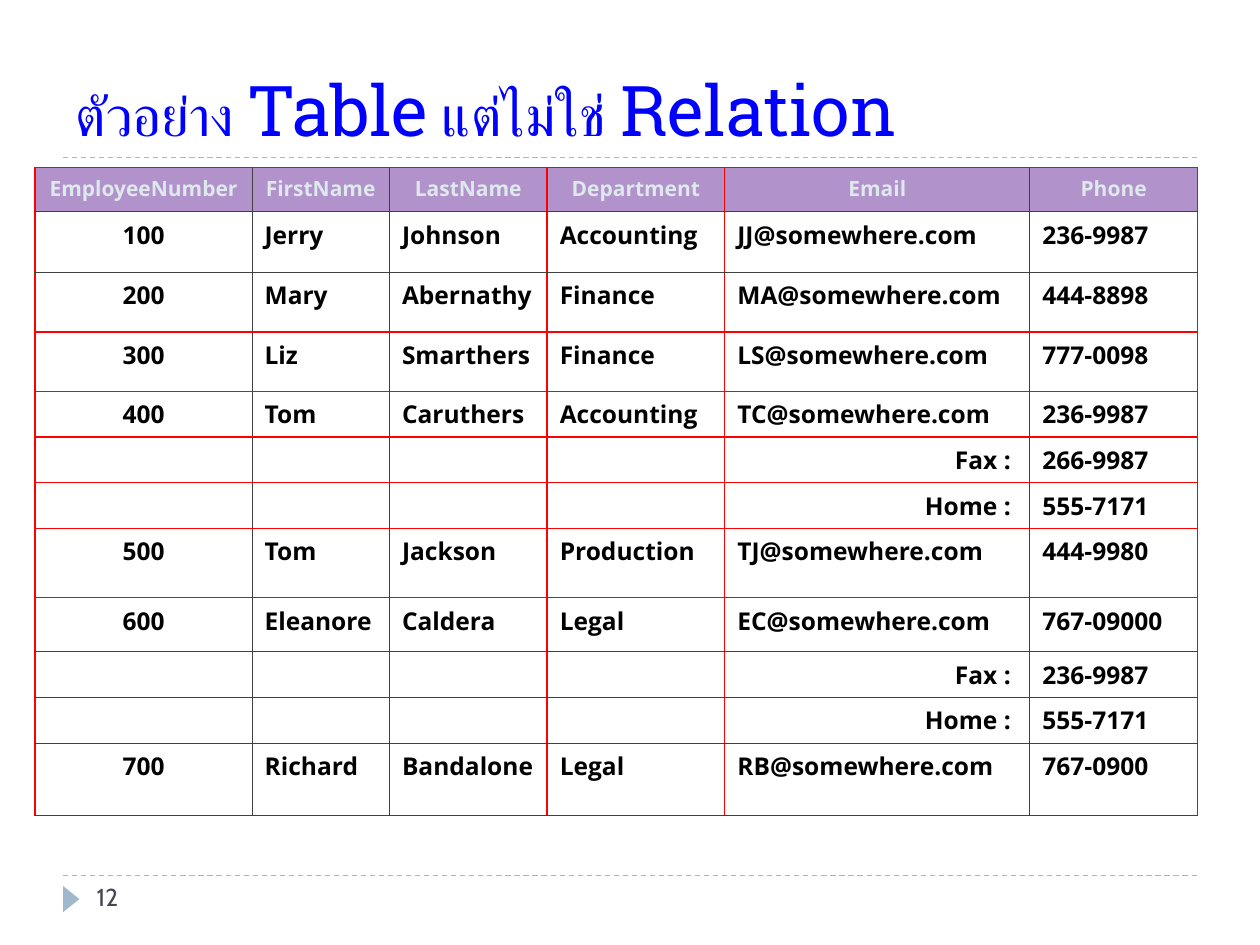
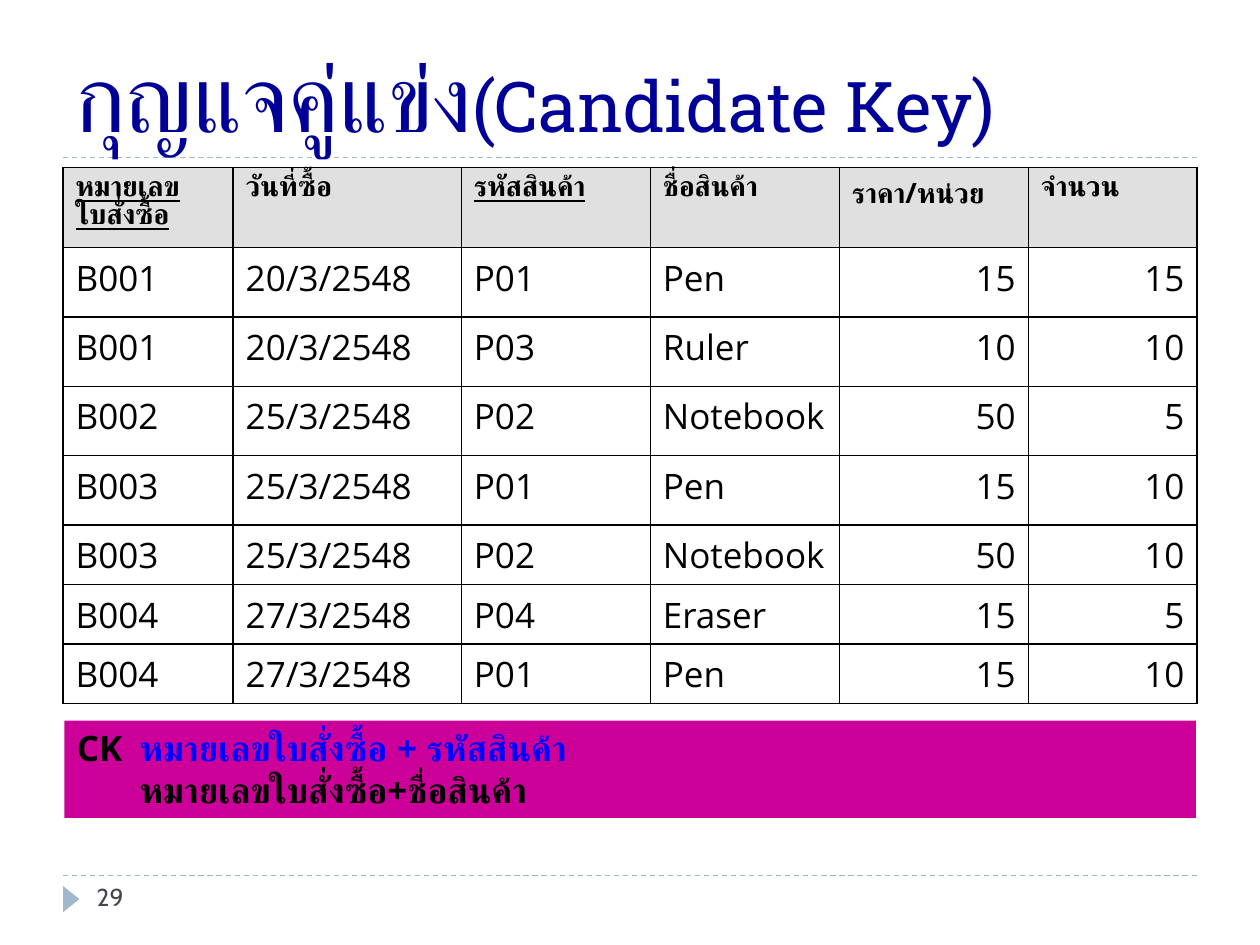
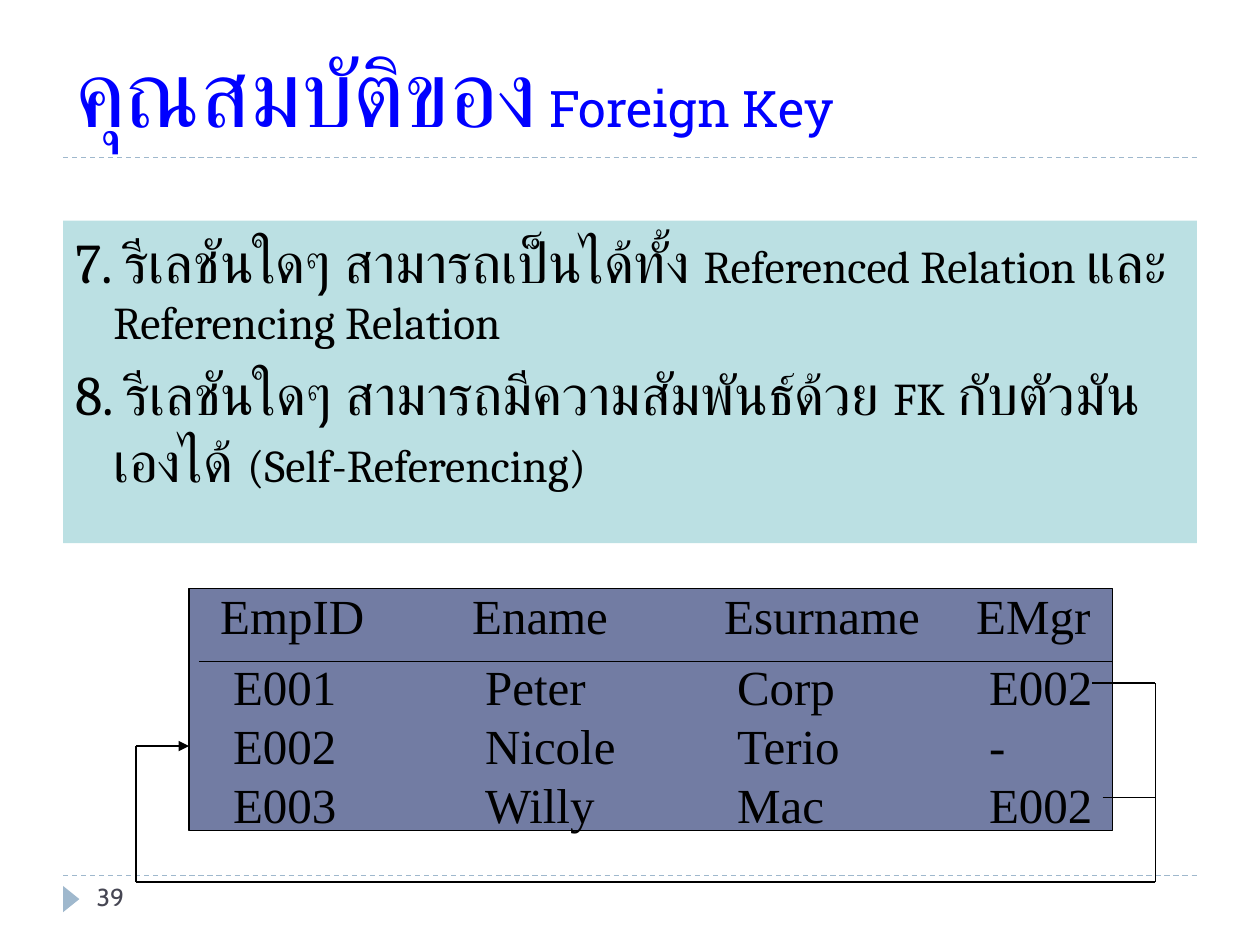
"""Builds three lecture slides on relations, candidate keys and foreign keys."""
from lxml import etree
from pptx import Presentation
from pptx.dml.color import RGBColor
from pptx.enum.dml import MSO_LINE
from pptx.enum.shapes import MSO_CONNECTOR, MSO_SHAPE
from pptx.enum.text import MSO_ANCHOR as ANCHOR, MSO_AUTO_SIZE as AUTO, PP_ALIGN as AL
from pptx.oxml.ns import qn
from pptx.util import Cm, Pt

BLUE, NAVY, BLACK, RED, GREY = "0000FF", "000099", "000000", "FF0000", "404040"
SLATE, INK, LILAC, SILVER = "9FB8CD", "464653", "B292CA", "E0E0E0"
PALE, MAGENTA, TEAL, INDIGO = "DDE9EC", "CC0099", "BBE0E3", "727CA3"
HEAD, BODY, SERIF, FOOT = "Roboto Slab", "Open Sans", "Times New Roman", "Cabin"
LEFT, RIGHT = 1.27, 24.13

SLIDES = [
    dict(number="12", color=BLUE, anchor=ANCHOR.BOTTOM,
         title=[("ตัวอย่าง ", 32), ("Table", 40), (" แต่ไม่ใช่ ", 32), ("Relation", 40)]),
    dict(number="29", color=NAVY, anchor=ANCHOR.BOTTOM,
         title=[("กุญแจคู่แข่ง", 54), ("(Candidate Key)", 40)]),
    dict(number="39", color=BLUE, anchor=ANCHOR.MIDDLE,
         title=[("คุณสมบัติของ", 54), (" Foreign Key", 28.8)]),
]

FAX, HOME = "Fax :  ", "Home :  "
EMPLOYEES = [
    ("EmployeeNumber", "FirstName", "LastName", "Department", "Email", "Phone"),
    ("100", "Jerry", "Johnson", "Accounting", "JJ@somewhere.com", "236-9987"),
    ("200", "Mary", "Abernathy", "Finance", "MA@somewhere.com", "444-8898"),
    ("300", "Liz", "Smarthers", "Finance", "LS@somewhere.com", "777-0098"),
    ("400", "Tom", "Caruthers", "Accounting", "TC@somewhere.com", "236-9987"),
    ("", "", "", "", "Fax : ", "266-9987"),
    ("", "", "", "", "Home : ", "555-7171"),
    ("500", "Tom", "Jackson", "Production", "TJ@somewhere.com", "444-9980"),
    ("600", "Eleanore", "Caldera", "Legal", "EC@somewhere.com", "767-09000"),
    ("", "", "", "", "Fax : ", "236-9987"),
    ("", "", "", "", "Home : ", "555-7171"),
    ("700", "Richard", "Bandalone", "Legal", "RB@somewhere.com", "767-0900"),
]
EMPLOYEE_COLS = [4.37, 2.77, 3.18, 3.58, 6.15, 3.38]
EMPLOYEE_ROWS = [0.89, 1.22, 1.2, 1.2, 0.92, 0.92, 0.92, 1.4, 1.09, 0.92, 0.92, 1.45]
GREY_BELOW, GREY_RIGHT = {0, 1, 8, 9, 10, 11}, {0, 1, 4}

ORDERS = [
    ("หมายเลข\nใบสั่งซื้อ", "วันที่ซื้อ", "รหัสสินค้า", "ชื่อสินค้า", "ราคา/หน่วย", "จำนวน"),
    ("B001", "20/3/2548", "P01", "Pen", "15", "15"),
    ("B001", "20/3/2548", "P03", "Ruler", "10", "10"),
    ("B002", "25/3/2548", "P02", "Notebook", "50", "5"),
    ("B003", "25/3/2548", "P01", "Pen", "15", "10"),
    ("B003", "25/3/2548", "P02", "Notebook", "50", "10"),
    ("B004", "27/3/2548", "P04", "Eraser", "15", "5"),
    ("B004", "27/3/2548", "P01", "Pen", "15", "10"),
]
ORDER_COLS = [3.43, 4.6, 3.81, 3.81, 3.81, 3.4]
ORDER_ROWS = [1.6] + [1.4] * 4 + [1.2] * 3
KEY_COLS = (0, 2)
CANDIDATES = [
    [("CK\t", BLACK), ("หมายเลขใบสั่งซื้อ + รหัสสินค้า", BLUE)],
    [("\tหมายเลขใบสั่งซื้อ+ชื่อสินค้า", BLACK)],
]

RULES = [
    [("7. รีเลชันใดๆ สามารถเป็นได้ทั้ง ", 32), ("Referenced Relation ", 26),
     ("และ ", 32), ("Referencing Relation", 26)],
    [("8. รีเลชันใดๆ สามารถมีความสัมพันธ์ด้วย ", 32), ("FK", 26),
     (" กับตัวมันเองได้ ", 32), ("(Self-Referencing)", 26)],
]
STAFF_HEAD = [("EmpID", "Ename", "Esurname", "EMgr")]
STAFF = [("E001", "Peter", "Corp", "E002"), ("E002", "Nicole", "Terio", "-"),
         ("E003", "Willy", "Mac", "E002")]
MANAGER_LINK = [(22.02, 13.77), (23.29, 13.77), (23.29, 17.78), (2.74, 17.78),
                (2.74, 15.04), (3.81, 15.04)]


def rgb(code):
    """Turn a hex string into a colour."""
    return RGBColor.from_string(code)


def place(sp, x, y, w, h):
    """Put a shape at a position given in centimetres."""
    sp.left, sp.top, sp.width, sp.height = Cm(x), Cm(y), Cm(w), Cm(h)


def style(font, name, color, size=None, bold=False):
    """Set the usual font properties."""
    font.name, font.bold, font.color.rgb = name, bold, rgb(color)
    if size:
        font.size = Pt(size)


def paragraphs(tf, count):
    """Return the given number of paragraphs of a text frame."""
    return [tf.paragraphs[0]] + [tf.add_paragraph() for _ in range(count - 1)]


def sized_runs(p, runs):
    """Add runs that differ in size."""
    for text, size in runs:
        r = p.add_run()
        r.text, r.font.size = text, Pt(size)


def hang(p, indent):
    """Give a paragraph a hanging indent without a bullet."""
    pPr = p._p.get_or_add_pPr()
    pPr.set("marL", str(Cm(indent)))
    pPr.set("indent", str(-Cm(indent)))
    pPr.insert_element_before(etree.Element(qn("a:buNone")),
                              "a:tabLst", "a:defRPr", "a:extLst")


def add_line(s, start, end, color=BLACK, dash=None, arrow=False):
    """Draw a thin straight line."""
    cn = s.shapes.add_connector(MSO_CONNECTOR.STRAIGHT, *map(Cm, start + end))
    cn.line.color.rgb, cn.line.width = rgb(color), Pt(0.75)
    if dash:
        cn.line.dash_style = dash
    if arrow:
        etree.SubElement(cn.line._get_or_add_ln(), qn("a:tailEnd"), type="triangle")
    etree.SubElement(cn._element.spPr, qn("a:effectLst"))
    return cn


def add_box(s, kind, x, y, w, h, fill, line=None):
    """Draw a flat filled shape."""
    sp = s.shapes.add_shape(kind, Cm(x), Cm(y), Cm(w), Cm(h))
    sp.shadow.inherit = False
    sp.fill.solid()
    sp.fill.fore_color.rgb = rgb(fill)
    if line:
        sp.line.color.rgb, sp.line.width = rgb(line), Pt(0.75)
    else:
        sp.line.fill.background()
    return sp


def add_tabbed(s, x, y, w, h, rows, step=5.08):
    """Write rows of words at equal tab stops."""
    tf = s.shapes.add_textbox(Cm(x), Cm(y), Cm(w), Cm(h)).text_frame
    tf.word_wrap = False
    for p, words in zip(paragraphs(tf, len(rows)), rows):
        p.text = "\t".join(words)
        style(p.font, SERIF, BLACK, 28)
        tabs = etree.Element(qn("a:tabLst"))
        for i in range(1, len(words)):
            etree.SubElement(tabs, qn("a:tab"), pos=str(Cm(step * i)), algn="l")
        p._p.get_or_add_pPr().insert_element_before(tabs, "a:defRPr", "a:extLst")


def set_border(cell, side, color, width):
    """Draw one side of a table cell."""
    ln = etree.SubElement(cell._tc.get_or_add_tcPr(), qn("a:ln" + side), w=str(Pt(width)))
    etree.SubElement(etree.SubElement(ln, qn("a:solidFill")), qn("a:srgbClr"), val=color)


def add_grid(s, x, y, cols, rows, data, head_fill, border, format_cell):
    """Add a table; border(r, c) and format_cell(r, c, text) give its look."""
    frame = s.shapes.add_table(len(rows), len(cols), Cm(x), Cm(y), Cm(sum(cols)), Cm(sum(rows)))
    table = frame.table
    table.first_row = table.horz_banding = False
    for col, w in zip(table.columns, cols):
        col.width = Cm(w)
    for r, (row, h) in enumerate(zip(table.rows, rows)):
        row.height = Cm(h)
        for c, cell in enumerate(row.cells):
            cell.text = data[r][c]
            for side, at in dict(L=(r, c - 1, 0), R=(r, c, 0), T=(r - 1, c, 1), B=(r, c, 1)).items():
                set_border(cell, side, *border(*at))
            if r == 0:
                cell.fill.solid()
                cell.fill.fore_color.rgb = rgb(head_fill)
            else:
                cell.fill.background()
            align, font = format_cell(r, c, data[r][c])
            for p in cell.text_frame.paragraphs:
                p.alignment = align
                style(p.font, BODY, *font)
                if head_fill == SILVER and r == 0 and c in KEY_COLS:
                    p.font.underline = True


def employee_border(r, c, below):
    """Colour and width of the line below or right of an employee cell."""
    return (GREY, 0.5) if (r in GREY_BELOW if below else c in GREY_RIGHT) else (RED, 1)


def employee_cell(r, c, text):
    """Alignment and font of an employee cell."""
    align = AL.CENTER if r == 0 or c == 0 else AL.RIGHT if text.endswith(" ") else AL.LEFT
    return align, (PALE, 12, True) if r == 0 else (BLACK, 14, True)


def order_cell(r, c, text):
    """Alignment and font of an order cell."""
    return AL.RIGHT if r and c > 3 else AL.LEFT, (BLACK, 20 if r else 16, r == 0)


def add_master_decor(prs, s):
    """Draw the shared rules and marker and move them to the master."""
    decor = [add_line(s, (LEFT, y), (RIGHT, y), SLATE, MSO_LINE.DASH) for y in (17.65, 3.18)]
    marker = add_box(s, MSO_SHAPE.ISOSCELES_TRIANGLE, 1.17, 17.96, 0.53, 0.33, SLATE)
    marker.rotation = 90
    for i, sp in enumerate(decor + [marker]):
        sp._element.xpath(".//p:cNvPr")[0].set("id", str(100 + i))
        prs.slide_master.shapes._spTree.append(sp._element)


def add_slide(prs, layout, number, title, color, anchor):
    """Add a slide with its title and number."""
    s = prs.slides.add_slide(prs.slide_layouts[layout])
    place(s.shapes.title, LEFT, 0.43, 22.86, 2.74)
    tf = s.shapes.title.text_frame
    tf.auto_size, tf.vertical_anchor = AUTO.NONE, anchor
    p = tf.paragraphs[0]
    p.alignment = AL.LEFT
    style(p.font, HEAD, color)
    sized_runs(p, title)
    p = s.shapes.add_textbox(Cm(1.7), Cm(17.65), Cm(5.51), Cm(1.02)).text_frame.paragraphs[0]
    p.text = number
    style(p.font, FOOT, INK, 14)
    return s


prs = Presentation()
prs.slide_width, prs.slide_height = Cm(25.4), Cm(19.05)
employees, orders, foreign = [
    add_slide(prs, layout, **info) for layout, info in zip((5, 5, 1), SLIDES)]
add_master_decor(prs, employees)

add_grid(employees, 0.71, 3.38, EMPLOYEE_COLS, EMPLOYEE_ROWS, EMPLOYEES, LILAC,
         employee_border, employee_cell)

add_grid(orders, LEFT, 3.38, ORDER_COLS, ORDER_ROWS, ORDERS, SILVER,
         lambda r, c, below: (BLACK, 1), order_cell)
tf = add_box(orders, MSO_SHAPE.RECTANGLE, 1.3, 14.53, 22.81, 1.96, MAGENTA).text_frame
tf.word_wrap, tf.vertical_anchor = True, ANCHOR.TOP
for p, runs in zip(paragraphs(tf, len(CANDIDATES)), CANDIDATES):
    p.alignment = AL.LEFT
    for text, color in runs:
        r = p.add_run()
        r.text = text
        style(r.font, BODY, color, 20, True)

body = foreign.placeholders[1]
place(body, LEFT, 4.45, 22.86, 6.5)
body.fill.solid()
body.fill.fore_color.rgb = rgb(TEAL)
body.text_frame.auto_size = AUTO.NONE
for p, runs in zip(paragraphs(body.text_frame, len(RULES)), RULES):
    hang(p, 0.76)
    p.space_before = Pt(6)
    style(p.font, "Cambria", BLACK)
    sized_runs(p, runs)
add_box(foreign, MSO_SHAPE.RECTANGLE, 3.81, 11.86, 18.62, 4.88, INDIGO, BLACK)
add_tabbed(foreign, 4.19, 11.68, 18.06, 1.45, STAFF_HEAD)
add_line(foreign, (4.01, 13.34), (22.43, 13.34))
add_tabbed(foreign, 4.45, 13.11, 17.83, 3.81, STAFF)
add_line(foreign, (22.23, 16.08), (23.29, 16.08))
for start, end in zip(MANAGER_LINK, MANAGER_LINK[1:]):
    add_line(foreign, start, end, arrow=end == MANAGER_LINK[-1])

prs.save("out.pptx")
